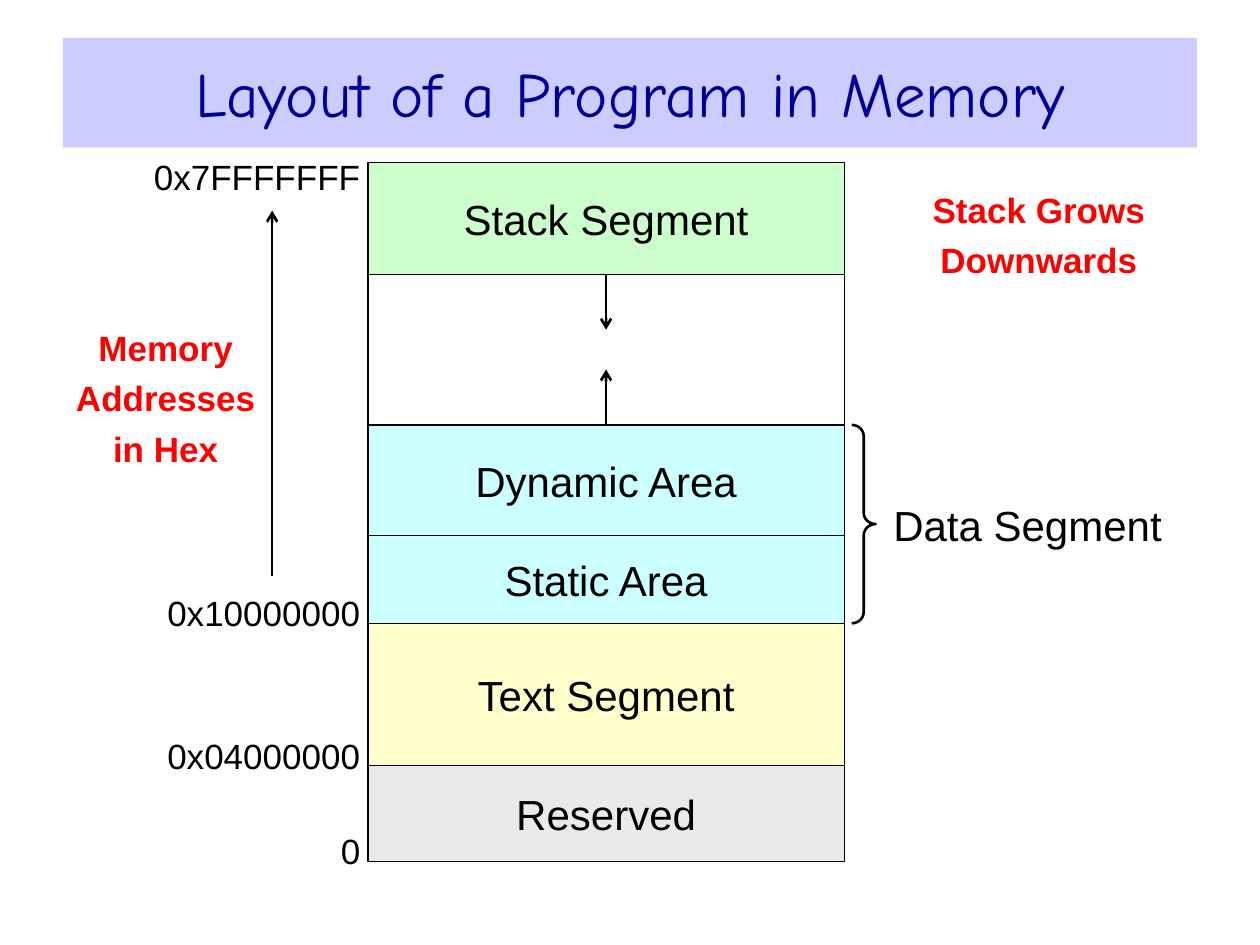
import collections
import itertools

import lxml.etree
import pptx
import pptx.dml.color
import pptx.enum.shapes
import pptx.enum.text
import pptx.oxml.ns
import pptx.util

COLS, ROWS = 100, 75
UNIT = pptx.util.Inches(10) / COLS
HEX = {
    "band": "CCCCFF", "title": "000099", "ink": "000000", "note": "FF0000",
    "stack": "CCFFCC", "data": "CCFFFF", "text": "FFFFCC", "rest": "EAEAEA",
}
# name, height in rows, fill
CELLS = [
    ("Stack Segment", 8.85, "stack"),
    ("", 11.95, None),
    ("Dynamic Area", 8.8, "data"),
    ("Static Area", 6.95, "data"),
    ("Text Segment", 11.3, "text"),
    ("Reserved", 7.6, "rest"),
]
KIND = pptx.enum.shapes.MSO_SHAPE
ALIGN = pptx.enum.text.PP_ALIGN
ANCHOR = pptx.enum.text.MSO_ANCHOR
Box = collections.namedtuple("Box", "x y w h")


def grid(*sizes):
    """Turn columns or rows into whole EMU."""
    return [pptx.util.Emu(round(size * UNIT)) for size in sizes]


def color(name):
    return pptx.dml.color.RGBColor.from_string(HEX[name])


def write(shape, lines, size, ink="ink", font="Arial", bold=False,
          align=ALIGN.CENTER, anchor=ANCHOR.MIDDLE, space=None):
    frame = shape.text_frame
    frame.word_wrap = True
    frame.vertical_anchor = anchor
    frame.margin_left = frame.margin_right = 0
    frame.margin_top = frame.margin_bottom = 0
    for i, line in enumerate(lines):
        para = frame.add_paragraph() if i else frame.paragraphs[0]
        para.alignment = align
        para.line_spacing = space
        run = para.add_run()
        run.text = line
        run.font.name = font
        run.font.size = pptx.util.Pt(size)
        run.font.bold = bold
        run.font.color.rgb = color(ink)


def label(slide, box, lines, size, **style):
    write(slide.shapes.add_textbox(*grid(*box)), lines, size, **style)


def draw(slide, kind, box, fill=None, width=None):
    shape = slide.shapes.add_shape(kind, *grid(*box))
    shape.shadow.inherit = False
    if fill:
        shape.fill.solid()
        shape.fill.fore_color.rgb = color(fill)
    else:
        shape.fill.background()
    if width:
        shape.line.color.rgb = color("ink")
        shape.line.width = pptx.util.Pt(width)
    else:
        shape.line.fill.background()
    return shape


def arrow(slide, x, start, end):
    """Add an upright arrow from one row to another."""
    line = slide.shapes.add_connector(
        pptx.enum.shapes.MSO_CONNECTOR.STRAIGHT, *grid(x, start, x, end))
    line.line.color.rgb = color("ink")
    line.line.width = pptx.util.Pt(1.5)
    name = pptx.oxml.ns.qn
    props = line._element.spPr
    lxml.etree.SubElement(props.find(name("a:ln")), name("a:tailEnd"), type="arrow")
    lxml.etree.SubElement(props, name("a:effectLst"))
    return line


def header(slide, box):
    band = draw(slide, KIND.RECTANGLE, box, "band")
    write(band, ["Layout of a Program in Memory"], 36, "title", "Comic Neue")


def memory(slide, box, edges):
    """Stack the cells, with arrows that grow into the free one."""
    cells = []
    for (name, high, fill), top in zip(CELLS, edges):
        cell = draw(slide, KIND.RECTANGLE, Box(box.x, top, box.w, high), fill, 0.75)
        if name:
            write(cell, [name], 24)
        cells.append(cell)
    mid, reach = box.x + box.w / 2, 4.4
    down = arrow(slide, mid, edges[1], edges[1] + reach)
    down.begin_connect(cells[0], 2)
    up = arrow(slide, mid, edges[2], edges[2] - reach)
    up.begin_connect(cells[2], 0)


def scale(slide, box, edges):
    """Put the addresses beside the cell edges, and the rising arrow."""
    marks = [
        ("0x7FFFFFFF", edges[0] - 0.6),
        ("0x10000000", edges[4] - 2.5),
        ("0x04000000", edges[5] - 2.5),
        ("0", edges[6] - 2.5),
    ]
    for mark, top in marks:
        label(slide, Box(box.x, top, box.w, 3.1), [mark], 20,
              align=ALIGN.RIGHT, anchor=ANCHOR.TOP)
    arrow(slide, box.x + 10, box.y + 32.8, box.y + 3.8)


def group(slide, box):
    brace = draw(slide, KIND.RIGHT_BRACE, box._replace(w=1.9), width=1.5)
    brace.adjustments[0] = 0.47
    brace.adjustments[1] = 0.5
    label(slide, Box(box.x + 2.6, box.y + 1.9, box.w - 2.6, 12), ["Data Segment"], 24)


def note(slide, box, lines):
    label(slide, box, lines, 20, ink="note", bold=True, space=1.2)


def main():
    deck = pptx.Presentation()
    deck.slide_width, deck.slide_height = grid(COLS, ROWS)
    slide = deck.slides.add_slide(deck.slide_layouts[6])
    heights = [high for _, high, _ in CELLS]
    edges = list(itertools.accumulate(heights, initial=12.92))
    tall = sum(heights)

    header(slide, Box(5, 3, 90, 8.7))
    memory(slide, Box(29.2, edges[0], 37.8, tall), edges)
    scale(slide, Box(11.6, edges[0], 17, tall), edges)
    group(slide, Box(67.6, edges[2], 25.3, edges[4] - edges[2]))
    note(slide, Box(5.3, 24.3, 15.7, 13.9), ["Memory", "Addresses", "in Hex"])
    note(slide, Box(73.3, 13.6, 18.3, 9.4), ["Stack Grows", "Downwards"])
    deck.save("out.pptx")


if __name__ == "__main__":
    main()
